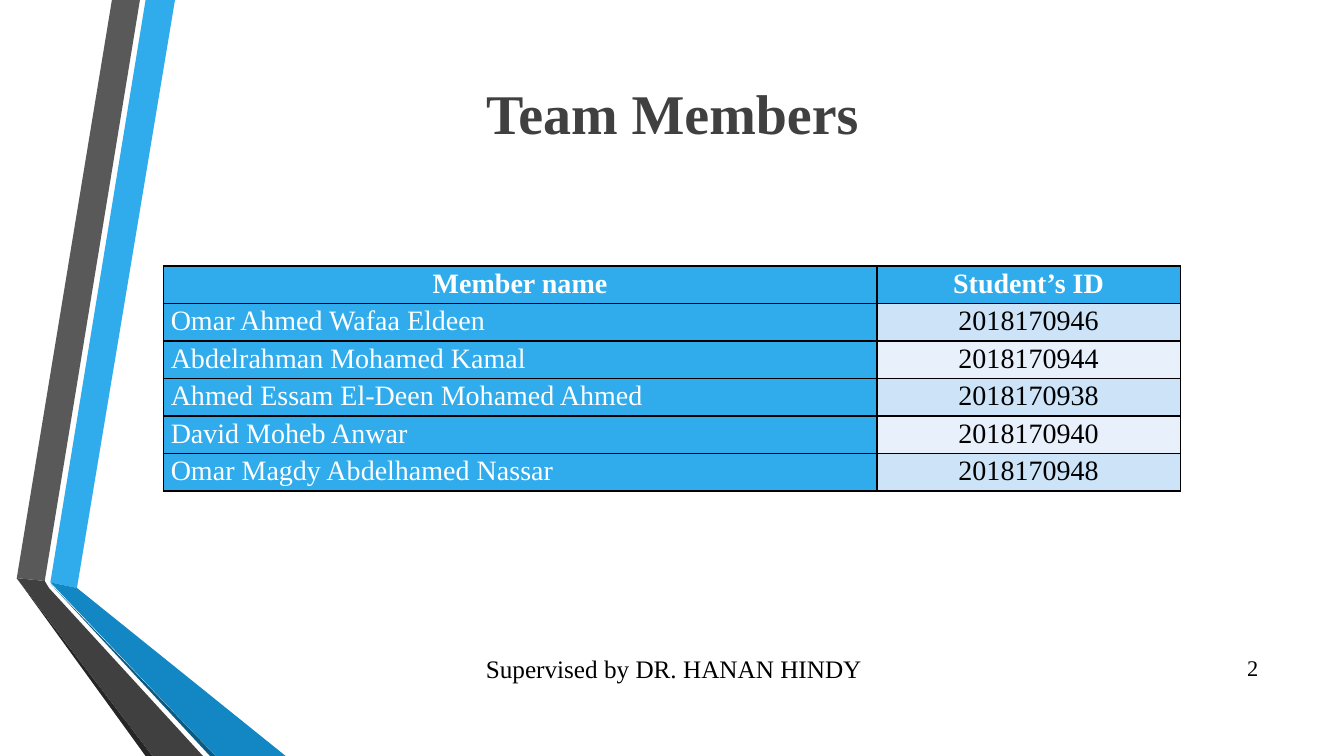
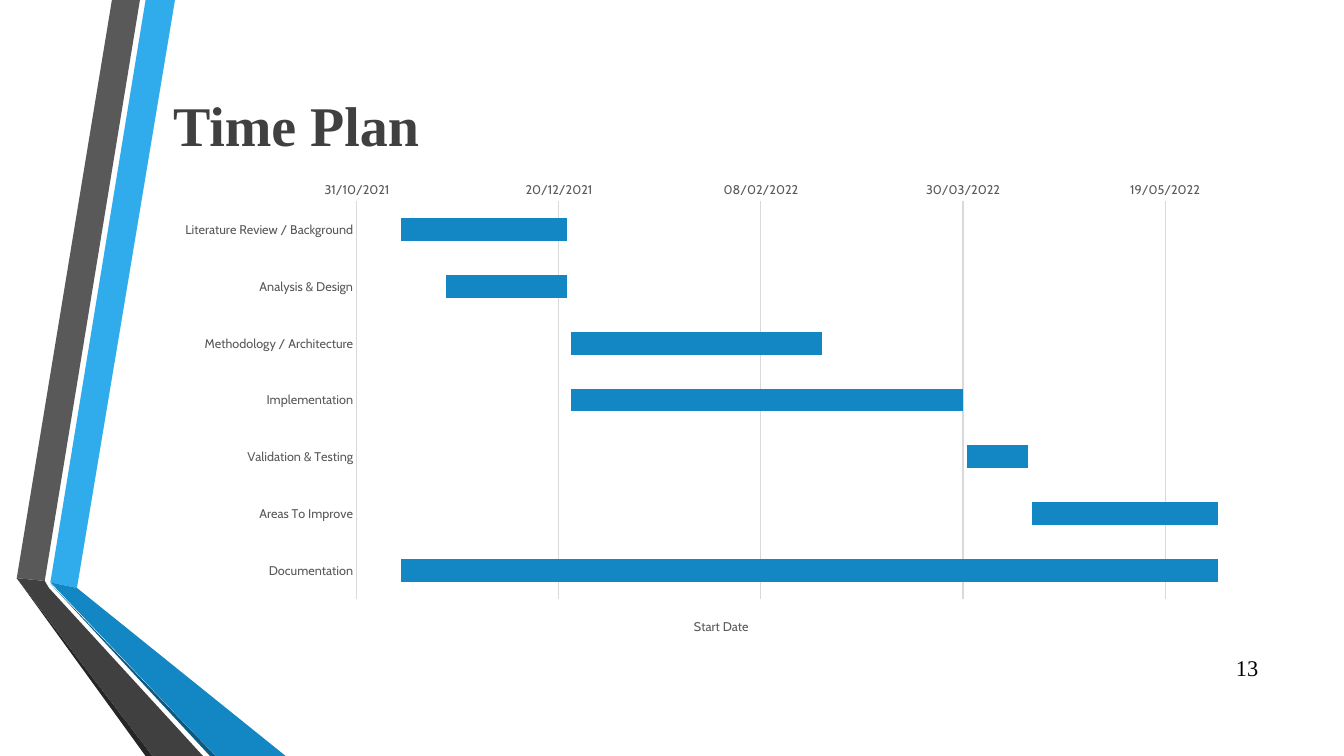
from lxml.etree import SubElement
from pptx import Presentation
from pptx.chart.data import CategoryChartData
from pptx.dml.color import RGBColor
from pptx.enum.chart import XL_CHART_TYPE, XL_LEGEND_POSITION, XL_TICK_MARK
from pptx.enum.text import MSO_ANCHOR, PP_ALIGN
from pptx.oxml import parse_xml
from pptx.oxml.ns import nsdecls, qn
from pptx.util import Pt

SERIF, SANS = "Times New Roman", "Cabin"
SKY, BLUE, DARK, MUTED, GRID = "30ACEC", "1287C3", "404040", "595959", "D9D9D9"
BLACK, WHITE = "000000", "FFFFFF"
STRIPES = ("CDE3F8", "E8F1FB")
LEFT, CENTER, RIGHT = PP_ALIGN.LEFT, PP_ALIGN.CENTER, PP_ALIGN.RIGHT

SLIDE_W, SLIDE_H = 960, 540
CONTENT_LEFT, CONTENT_W = 116.6, 789.1

# Folded ribbons along the left edge, back to front
RIBBONS = [
    (SKY, [(36, 416.2), (55.4, 419.8), (124.6, 0), (104.4, 0)]),
    (MUTED, [(100, 0), (79.9, 0), (11.5, 412.6), (31.7, 415.4)]),
    ("262626", [(11.5, 412.6), (104.4, SLIDE_H), (108.7, SLIDE_H)]),
    ("0C5A82", [(36, 416.9), (149.8, SLIDE_H), (154.1, SLIDE_H)]),
    (BLUE, [(36, 416.2), (154.1, SLIDE_H), (203.8, SLIDE_H), (55.4, 419.8)]),
    (DARK, [(11.5, 412.6), (108.7, SLIDE_H), (145.4, SLIDE_H), (34.6, 419.8), (31.7, 415.4)]),
]

HEADINGS = ("Member name", "Student’s ID")
MEMBERS = [
    ("Omar Ahmed Wafaa Eldeen", "2018170946"),
    ("Abdelrahman Mohamed Kamal", "2018170944"),
    ("Ahmed Essam El-Deen Mohamed Ahmed", "2018170938"),
    ("David Moheb Anwar", "2018170940"),
    ("Omar Magdy Abdelhamed Nassar", "2018170948"),
]
COLUMN_WIDTHS = (509.8, 216.7)
ROW_H = 26.8

# Task, start as a date serial number, duration in days
TASKS = [
    ("Literature Review / Background", 44511, 41),
    ("Analysis & Design", 44522, 30),
    ("Methodology / Architecture", 44553, 62),
    ("Implementation", 44553, 97),
    ("Validation & Testing", 44651, 15),
    ("Areas To Improve", 44667, 46),
    ("Documentation", 44511, 202),
]


def color(value):
    return RGBColor.from_string(value)


def paint(fill, value):
    fill.solid()
    fill.fore_color.rgb = color(value)


def style_font(font, size, tint, face=SANS, bold=False):
    font.name, font.size, font.bold = face, Pt(size), bold
    font.color.rgb = color(tint)


def write(frame, text, size=20, tint=BLACK, bold=False, align=LEFT, spacing=None):
    paragraph = frame.paragraphs[0]
    paragraph.alignment, paragraph.line_spacing = align, spacing
    run = paragraph.add_run()
    run.text = text
    style_font(run.font, size, tint, SERIF, bold)


def add_text(slide, box, text, **style):
    frame = slide.shapes.add_textbox(*map(Pt, box)).text_frame
    frame.word_wrap = True
    frame.vertical_anchor = MSO_ANCHOR.MIDDLE
    write(frame, text, **style)


def add_slide(deck, title, title_left, title_top, number, align=LEFT):
    """Add a slide with the shared ribbons, title and page number."""
    slide = deck.slides.add_slide(deck.slide_layouts[6])
    for tint, (start, *rest) in RIBBONS:
        builder = slide.shapes.build_freeform(*start, scale=Pt(1))
        builder.add_line_segments(rest, close=True)
        ribbon = builder.convert_to_shape()
        ribbon.shadow.inherit = False
        paint(ribbon.fill, tint)
        ribbon.line.fill.background()
    add_text(slide, (title_left, title_top, CONTENT_W, 69.5), title,
             size=40, tint=DARK, bold=True, align=align)
    add_text(slide, (862.6, 462.2, 43.2, 28.8), number, size=16, align=RIGHT)
    return slide


def add_borders(cell):
    properties = cell._tc.get_or_add_tcPr()
    for side in ("lnL", "lnR", "lnT", "lnB"):
        properties.append(parse_xml(
            f'<a:{side} {nsdecls("a")} w="12700"><a:solidFill>'
            f'<a:srgbClr val="{BLACK}"/></a:solidFill></a:{side}>'))


def fill_cell(cell, text, background, **style):
    cell.margin_left = cell.margin_right = Pt(5.4)
    cell.margin_top = cell.margin_bottom = 0
    add_borders(cell)
    paint(cell.fill, background)
    write(cell.text_frame, text, spacing=1.07, **style)


def add_members(slide):
    row_count = len(MEMBERS) + 1
    table = slide.shapes.add_table(
        row_count, len(HEADINGS), Pt(CONTENT_LEFT), Pt(190),
        Pt(sum(COLUMN_WIDTHS)), Pt(row_count * ROW_H)).table
    table.first_row = table.horz_banding = False
    for column, width in zip(table.columns, COLUMN_WIDTHS):
        column.width = Pt(width)
    for row in table.rows:
        row.height = Pt(ROW_H)
    for col, heading in enumerate(HEADINGS):
        fill_cell(table.cell(0, col), heading, SKY, tint=WHITE, bold=True, align=CENTER)
    for row, (member, student_id) in enumerate(MEMBERS, 1):
        fill_cell(table.cell(row, 0), member, SKY, tint=WHITE)
        fill_cell(table.cell(row, 1), student_id, STRIPES[(row - 1) % 2], align=CENTER)


def draw_line(line, tint):
    line.width = Pt(0.75)
    line.color.rgb = color(tint)


def hide_legend_entry(legend, index):
    entry = SubElement(legend._element, qn("c:legendEntry"))
    SubElement(entry, qn("c:idx")).set("val", str(index))
    SubElement(entry, qn("c:delete")).set("val", "1")
    legend._element.find(qn("c:legendPos")).addnext(entry)


def add_schedule(slide):
    """Draw a Gantt chart: durations stacked on invisible start dates."""
    tasks, starts, durations = zip(*TASKS)
    schedule = CategoryChartData()
    schedule.categories = tasks
    schedule.add_series("Start Date", starts)
    schedule.add_series("Duration (Days)", durations)
    chart = slide.shapes.add_chart(
        XL_CHART_TYPE.BAR_STACKED, Pt(CONTENT_LEFT), Pt(123.1),
        Pt(CONTENT_W), Pt(333.4), schedule).chart
    chart.has_title = False
    style_font(chart.font, 10, BLACK)

    plot = chart.plots[0]
    plot.gap_width, plot.overlap, plot.vary_by_categories = 150, 100, False
    start_bars, duration_bars = plot.series
    start_bars.format.fill.background()
    paint(duration_bars.format.fill, BLUE)

    task_axis, date_axis = chart.category_axis, chart.value_axis
    for axis in (task_axis, date_axis):
        axis.major_tick_mark = axis.minor_tick_mark = XL_TICK_MARK.NONE
        style_font(axis.tick_labels.font, 9, MUTED)
    task_axis.reverse_order = True
    draw_line(task_axis.format.line, GRID)
    date_axis.minimum_scale, date_axis.maximum_scale = 44500, 44720
    date_axis.major_unit = 50
    date_axis.format.line.fill.background()
    draw_line(date_axis.major_gridlines.format.line, GRID)
    date_axis.tick_labels.number_format = "dd/mm/yyyy;@"
    date_axis.tick_labels.number_format_is_linked = False

    chart.has_legend = True
    chart.legend.position = XL_LEGEND_POSITION.BOTTOM
    chart.legend.include_in_layout = False
    style_font(chart.legend.font, 9, MUTED)
    hide_legend_entry(chart.legend, 0)


def main():
    deck = Presentation()
    deck.slide_width, deck.slide_height = Pt(SLIDE_W), Pt(SLIDE_H)

    team = add_slide(deck, "Team Members", 85.7, 45.4, "2", align=CENTER)
    add_members(team)
    add_text(team, (202.3, 463, 558, 28.8), "Supervised by DR. HANAN HINDY",
             size=18, align=CENTER)

    plan = add_slide(deck, "Time Plan", CONTENT_LEFT, 54, "13")
    add_schedule(plan)

    deck.save("out.pptx")


if __name__ == "__main__":
    main()
